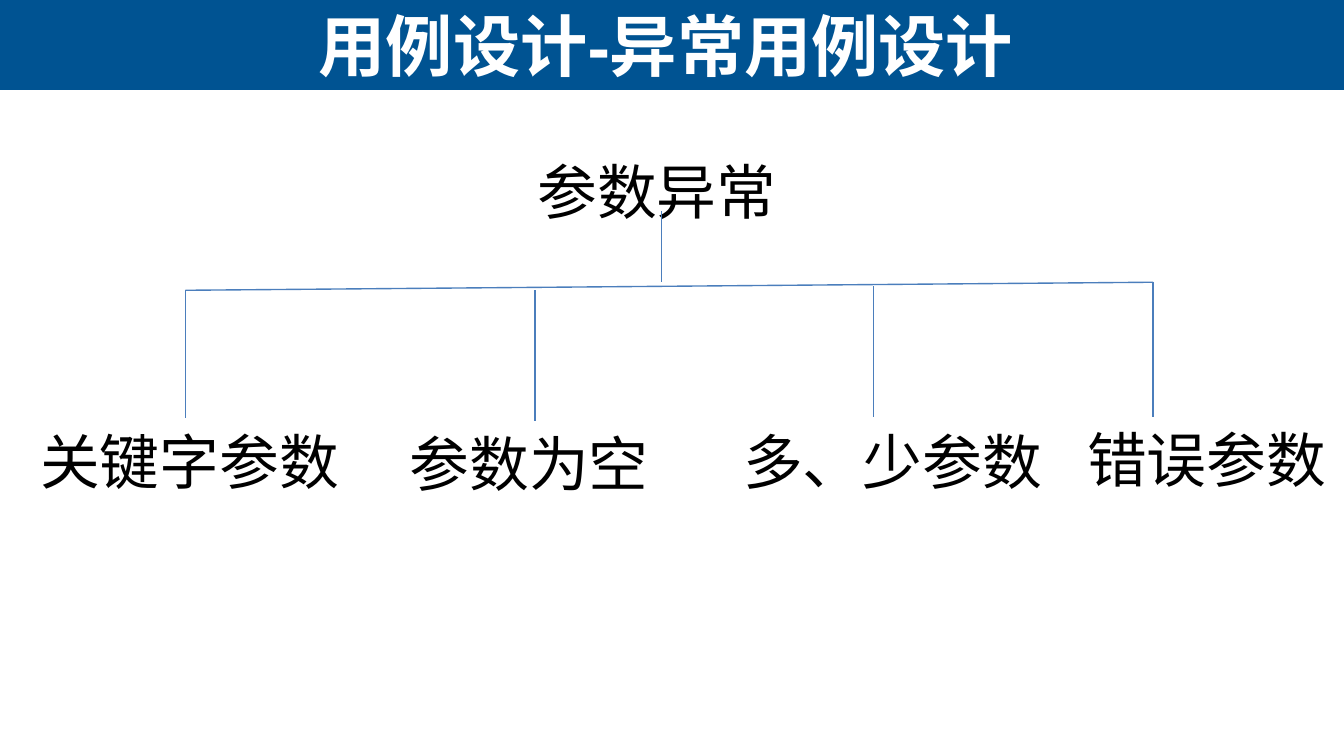
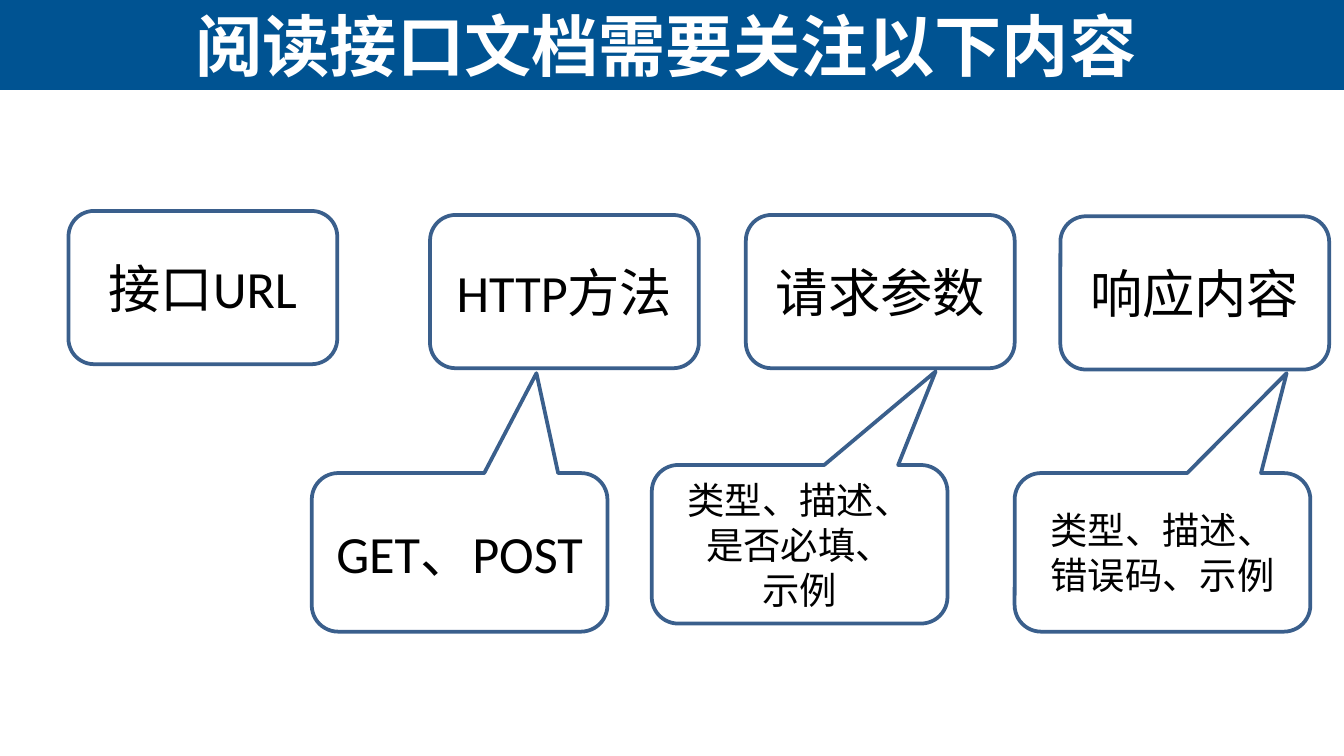
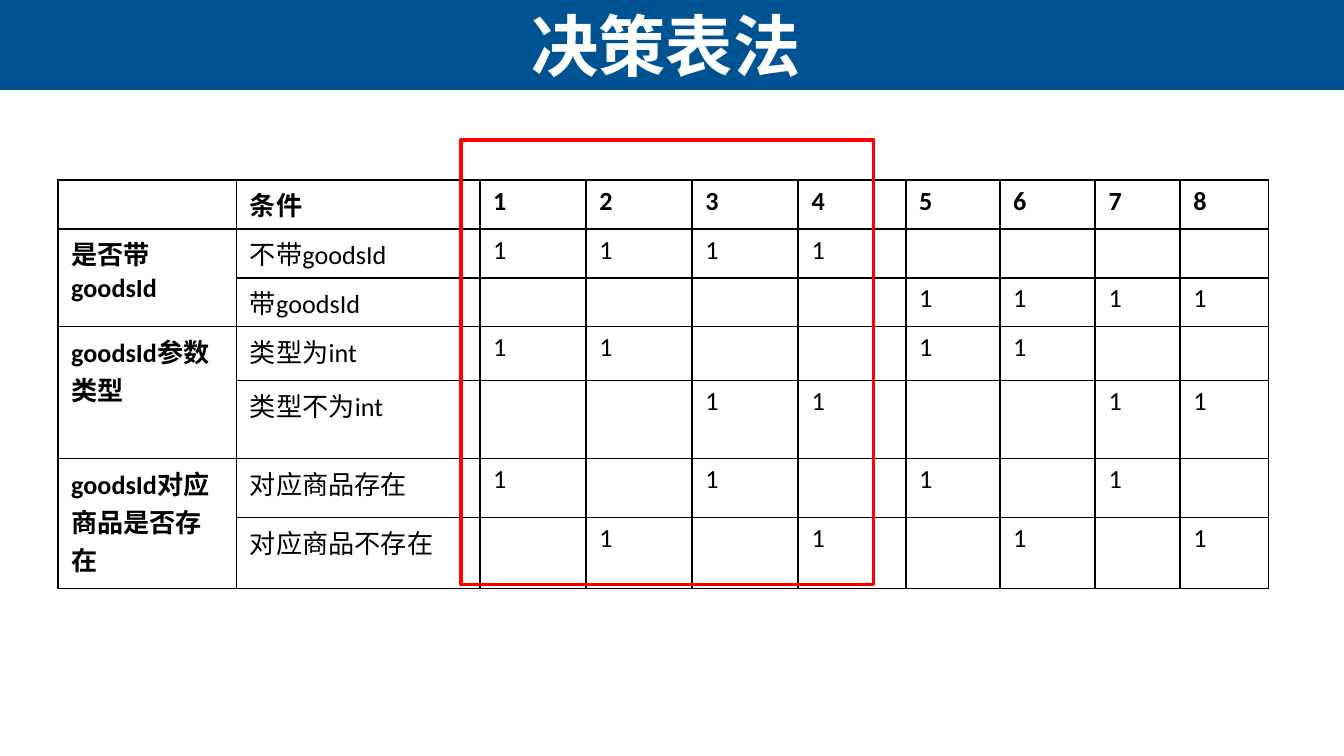
from dataclasses import dataclass

import lxml.etree
import pptx
import pptx.dml.color
import pptx.enum.shapes
import pptx.enum.text
import pptx.oxml.ns
import pptx.util

Inches = pptx.util.Inches
Pt = pptx.util.Pt
qn = pptx.oxml.ns.qn
ShapeKind = pptx.enum.shapes.MSO_SHAPE
Align = pptx.enum.text.PP_ALIGN
Anchor = pptx.enum.text.MSO_ANCHOR
AutoSize = pptx.enum.text.MSO_AUTO_SIZE


def colour(code):
    return pptx.dml.color.RGBColor.from_string(code)


@dataclass(frozen=True)
class Theme:
    band: str = "005392"
    title: str = "FFFFFF"
    text: str = "000000"
    tree_line: str = "4B7EBC"
    outline: str = "3A5F8C"
    highlight: str = "FF0000"
    title_font: str = "Arial"
    body_font: str = "Calibri"
    title_size: int = 36
    label_size: int = 32
    box_size: int = 28
    detail_size: int = 20
    table_size: int = 14
    tree_width: float = 0.75
    outline_width: float = 2
    border_width: float = 1


class Deck:
    def __init__(self, theme):
        self.theme = theme
        self.presentation = pptx.Presentation()
        self.presentation.slide_width = Inches(10)
        self.presentation.slide_height = Inches(10 * 9 / 16)
        self.layout = self.presentation.slide_layouts[5]
        self.slide = None

    def start_slide(self, title):
        first = self.slide is None
        self.slide = self.presentation.slides.add_slide(self.layout)
        if first:
            self.add_band_to_layout()
        placeholder = self.slide.shapes.title
        placeholder.left, placeholder.top = Inches(0.02), Inches(0)
        placeholder.width, placeholder.height = Inches(9.87), Inches(0.67)
        frame = placeholder.text_frame
        frame.text = title
        frame.auto_size = AutoSize.NONE
        frame.vertical_anchor = Anchor.MIDDLE
        self.format_text(frame, self.theme.title_size, Align.CENTER, True,
                         self.theme.title, self.theme.title_font)

    def add_band_to_layout(self):
        band = self.add_box(ShapeKind.RECTANGLE, 0, 0, 10, 0.67)
        band.fill.solid()
        band.fill.fore_color.rgb = colour(self.theme.band)
        band.line.fill.background()
        self.layout.shapes.element.insert(2, band.element)

    def format_text(self, frame, size, align=Align.LEFT, bold=False, code=None, font=None):
        for paragraph in frame.paragraphs:
            paragraph.alignment = align
            for run in paragraph.runs:
                run.font.size = Pt(size)
                run.font.bold = bold
                run.font.name = font or self.theme.body_font
                run.font.color.rgb = colour(code or self.theme.text)

    def add_label(self, text, left, top, width=3.15):
        label = self.slide.shapes.add_textbox(
            Inches(left), Inches(top), Inches(width), Inches(0.64))
        frame = label.text_frame
        frame.text = text
        frame.word_wrap = True
        frame.auto_size = AutoSize.SHAPE_TO_FIT_TEXT
        self.format_text(frame, self.theme.label_size)

    def add_line(self, start_x, start_y, end_x, end_y):
        line = self.slide.shapes.add_connector(
            pptx.enum.shapes.MSO_CONNECTOR.STRAIGHT,
            Inches(start_x), Inches(start_y), Inches(end_x), Inches(end_y))
        line.line.color.rgb = colour(self.theme.tree_line)
        line.line.width = Pt(self.theme.tree_width)
        lxml.etree.SubElement(line.element.spPr, qn("a:effectLst"))

    def add_box(self, kind, left, top, width, height, text="", size=None, line=None):
        box = self.slide.shapes.add_shape(
            kind, Inches(left), Inches(top), Inches(width), Inches(height))
        box.shadow.inherit = False
        box.fill.background()
        box.line.color.rgb = colour(line or self.theme.outline)
        box.line.width = Pt(self.theme.outline_width)
        if text:
            box.text_frame.text = text
            box.text_frame.vertical_anchor = Anchor.MIDDLE
            self.format_text(box.text_frame, size, Align.CENTER)
        return box

    def add_callout(self, text, size, left, top, pointer):
        callout = self.add_box(ShapeKind.ROUNDED_RECTANGULAR_CALLOUT,
                               left, top, 2.2, 1.18, text, size)
        callout.adjustments[0], callout.adjustments[1] = pointer

    def add_table(self, rows, left, top, column_widths, row_heights):
        table = self.slide.shapes.add_table(
            len(rows), len(column_widths), Inches(left), Inches(top),
            Inches(sum(column_widths)), Inches(sum(row_heights))).table
        table.first_row = table.horz_banding = False
        for column, width in zip(table.columns, column_widths):
            column.width = Inches(width)
        for row, height in zip(table.rows, row_heights):
            row.height = Inches(height)
        for row_index, row in enumerate(rows):
            for column_index, text in enumerate(row):
                bold = row_index == 0 or column_index == 0
                self.fill_cell(table.cell(row_index, column_index), text, bold)
        return table

    def fill_cell(self, cell, text, bold):
        cell.margin_top = cell.margin_bottom = Inches(0.04)
        if text:
            cell.text_frame.text = text
            self.format_text(cell.text_frame, self.theme.table_size, bold=bold)
        else:
            lxml.etree.SubElement(cell.text_frame.paragraphs[0]._p, qn("a:endParaRPr"),
                                  sz=str(self.theme.table_size * 100))
        properties = cell._tc.get_or_add_tcPr()
        for side in ("a:lnL", "a:lnR", "a:lnT", "a:lnB"):
            border = lxml.etree.SubElement(properties, qn(side),
                                           w=str(Pt(self.theme.border_width)))
            fill = lxml.etree.SubElement(border, qn("a:solidFill"))
            lxml.etree.SubElement(fill, qn("a:srgbClr"), val=self.theme.text)
        cell.fill.background()


def build_parameter_tree(deck):
    deck.start_slide("用例设计-异常用例设计")
    deck.add_label("参数异常", 3.9, 1.1)
    deck.add_label("关键字参数", 0.2, 3.11)
    deck.add_label("参数为空", 2.95, 3.13)
    deck.add_label("多、少参数", 5.43, 3.11)
    deck.add_label("错误参数", 7.99, 3.1, 2.24)
    deck.add_line(1.38, 2.16, 8.58, 2.1)
    for x, top, bottom in ((1.38, 2.16, 3.11), (3.98, 2.16, 3.13), (6.5, 2.13, 3.1),
                           (8.58, 2.1, 3.1), (4.92, 1.57, 2.1)):
        deck.add_line(x, top, x, bottom)


def build_document_checklist(deck):
    theme = deck.theme
    deck.start_slide("阅读接口文档需要关注以下内容")
    for text, left, top in (("接口URL", 0.51, 1.57), ("HTTP方法", 3.2, 1.6),
                            ("请求参数", 5.55, 1.6), ("响应内容", 7.89, 1.61)):
        deck.add_box(ShapeKind.ROUNDED_RECTANGLE, left, top, 2, 1.14, text, theme.box_size)
    deck.add_callout("类型、描述、\n错误码、示例", theme.detail_size, 7.55, 3.52, (0.42, -1.13))
    deck.add_callout("GET、POST", theme.box_size, 2.32, 3.52, (0.26, -1.13))
    deck.add_callout("类型、描述、\n是否必填、\n示例", theme.detail_size, 4.85, 3.46, (0.46, -1.09))


def build_decision_table(deck):
    deck.start_slide("决策表法")
    cases = range(1, 9)
    conditions = (
        ("是否带goodsId", "不带goodsId", (1, 2, 3, 4)),
        ("", "带goodsId", (5, 6, 7, 8)),
        ("goodsId参数类型", "类型为int", (1, 2, 5, 6)),
        ("", "类型不为int", (3, 4, 7, 8)),
        ("goodsId对应商品是否存在", "对应商品存在", (1, 3, 5, 7)),
        ("", "对应商品不存在", (2, 4, 6, 8)),
    )
    rows = [["", "条件", *map(str, cases)]]
    for group, condition, matches in conditions:
        rows.append([group, condition, *("1" if case in matches else "" for case in cases)])
    table = deck.add_table(
        rows, 0.43, 1.34,
        (1.33, 1.81, 0.79, 0.79, 0.79, 0.8, 0.7, 0.71, 0.63, 0.66),
        (0.3, 0.3, 0.3, 0.4, 0.58, 0.44, 0.53))
    for first in range(1, len(rows), 2):
        table.cell(first, 0).merge(table.cell(first + 1, 0))
    deck.add_box(ShapeKind.RECTANGLE, 3.43, 1.04, 3.07, 3.31, line=deck.theme.highlight)


def main():
    deck = Deck(Theme())
    build_parameter_tree(deck)
    build_document_checklist(deck)
    build_decision_table(deck)
    deck.presentation.save("out.pptx")


if __name__ == "__main__":
    main()
